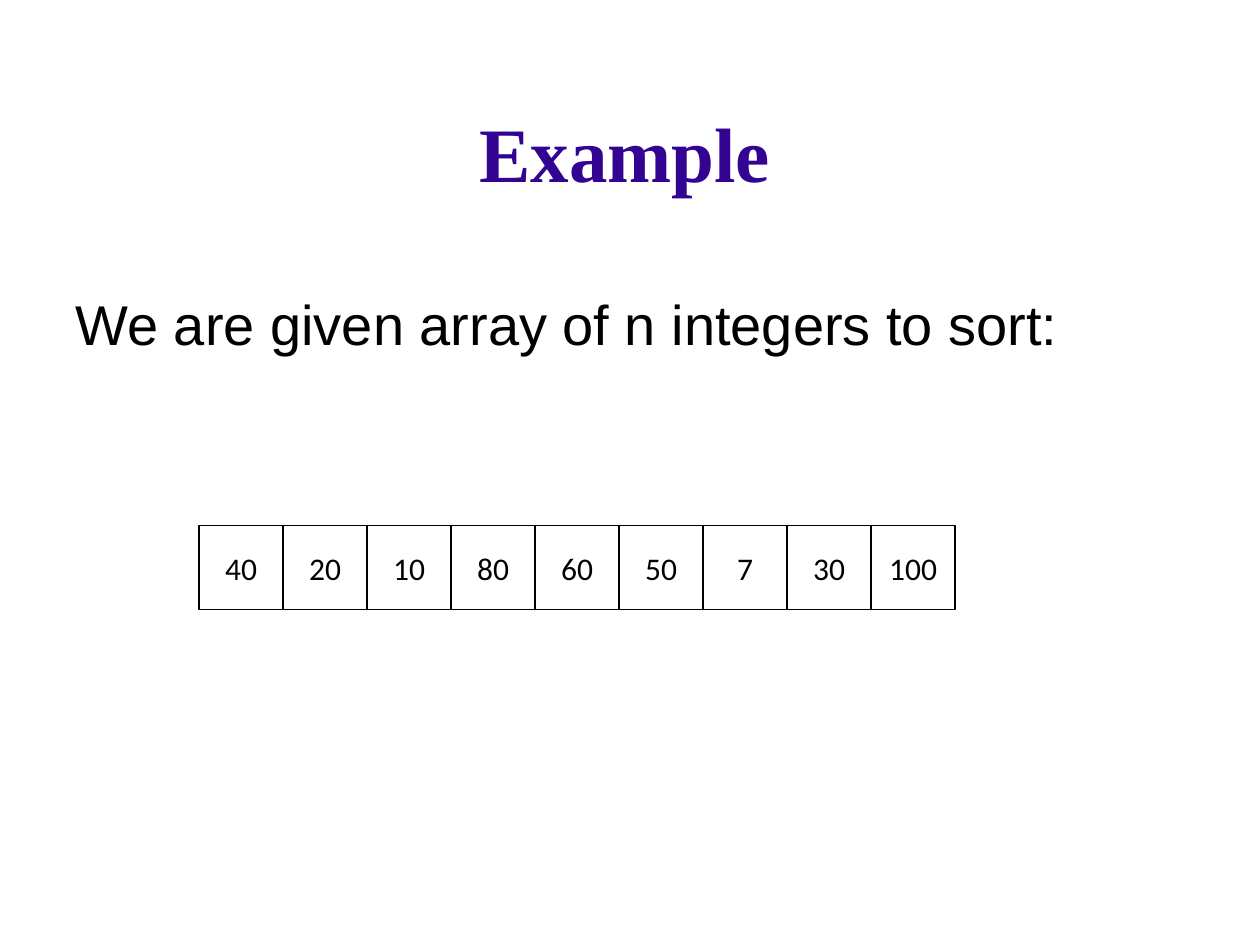
from pptx import Presentation
from pptx.dml.color import RGBColor
from pptx.enum.shapes import MSO_SHAPE as Shape
from pptx.enum.text import MSO_ANCHOR as Anchor, PP_ALIGN as Align
from pptx.util import Inches, Pt

COLORS = {"title": "330492", "ink": "000000", "paper": "FFFFFF"}
FORMATS = {
    "title": {"name": "Times New Roman", "size": Pt(44), "bold": True},
    "body": {"name": "Arial", "size": Pt(32)},
    "cell": {"name": "Calibri", "size": Pt(18)},
}
VALUES = [40, 20, 10, 80, 60, 50, 7, 30, 100]
CELL_SIZE = 2 / 3
ARRAY_LEFT, ARRAY_TOP = 1.58, 4.17


class SlideBuilder:
    """Holds the style and the current slide, and adds its elements."""

    def __init__(self, slide, colors, formats):
        self.slide = slide
        self.colors = colors
        self.formats = formats

    def color(self, name):
        return RGBColor.from_string(self.colors[name])

    def label(self, shape, text, style, color, align, anchor, wrap=True):
        frame = shape.text_frame
        frame.word_wrap = wrap
        frame.vertical_anchor = anchor
        paragraph = frame.paragraphs[0]
        paragraph.alignment = align
        run = paragraph.add_run()
        run.text = text
        for attribute, value in self.formats[style].items():
            setattr(run.font, attribute, value)
        run.font.color.rgb = self.color(color)
        return paragraph

    def text(self, box, text, style, color, align, anchor):
        shape = self.slide.shapes.add_textbox(*map(Inches, box))
        return self.label(shape, text, style, color, align, anchor)

    def cell(self, left, top, size, text):
        shape = self.slide.shapes.add_shape(
            Shape.RECTANGLE, *map(Inches, (left, top, size, size)))
        shape.shadow.inherit = False
        shape.fill.solid()
        shape.fill.fore_color.rgb = self.color("paper")
        shape.line.color.rgb = self.color("ink")
        shape.line.width = Pt(0.75)
        self.label(shape, text, "cell", "ink", Align.CENTER, Anchor.MIDDLE, wrap=False)

    def array(self, left, top, size, values):
        for index, value in enumerate(values):
            self.cell(left + index * size, top, size, str(value))


def main():
    presentation = Presentation()
    presentation.slide_width = Inches(10)
    presentation.slide_height = Inches(7.5)
    slide = presentation.slides.add_slide(presentation.slide_layouts[6])
    builder = SlideBuilder(slide, COLORS, FORMATS)
    builder.text((0.75, 0.58, 8.42, 1.25), "Example",
                 "title", "title", Align.CENTER, Anchor.MIDDLE)
    sentence = builder.text((0.5, 2.25, 8.5, 4.5), "We are given array of n integers to sort:",
                            "body", "ink", Align.LEFT, Anchor.TOP)
    sentence.space_before = Pt(5)
    builder.array(ARRAY_LEFT, ARRAY_TOP, CELL_SIZE, VALUES)
    presentation.save("out.pptx")


if __name__ == "__main__":
    main()
